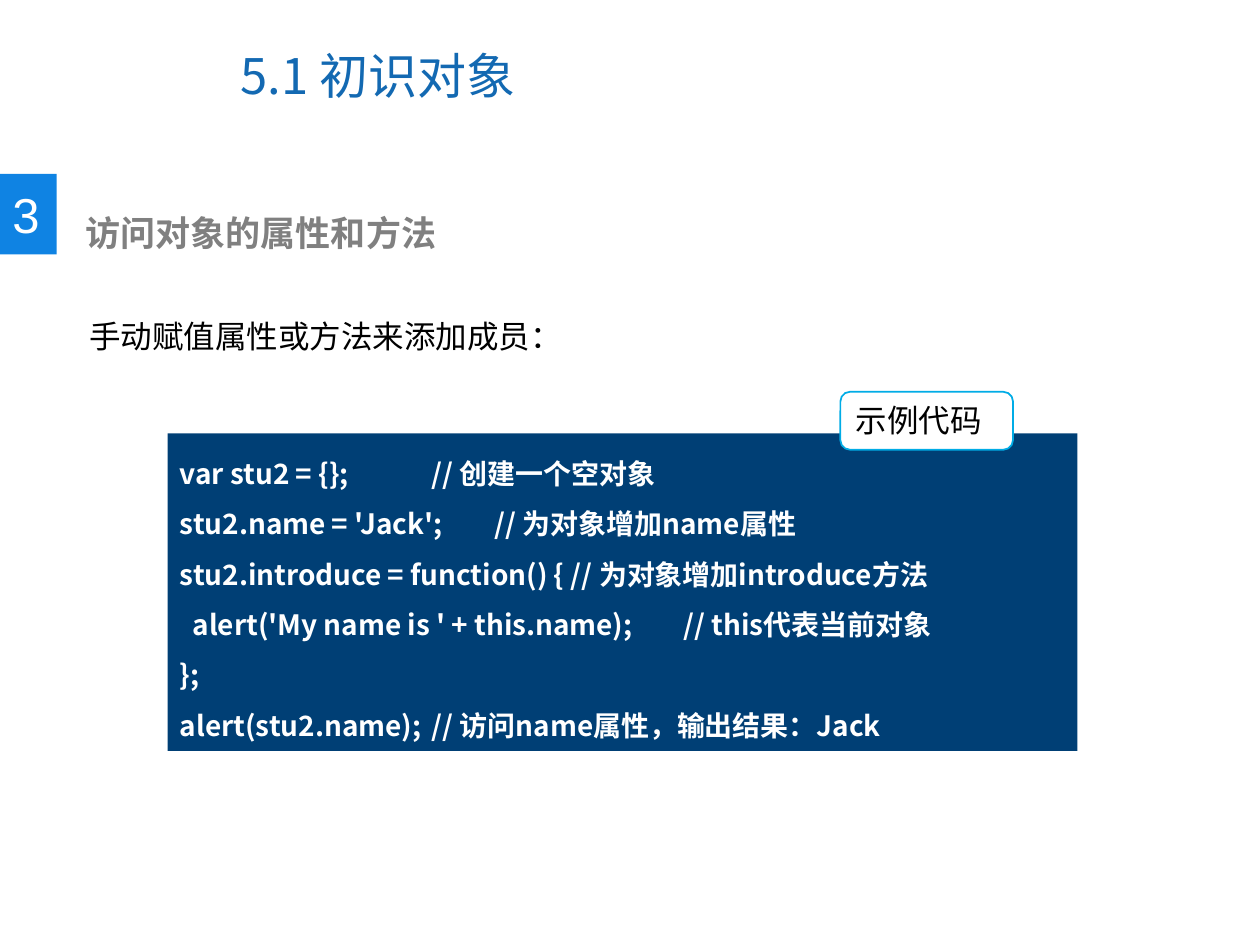
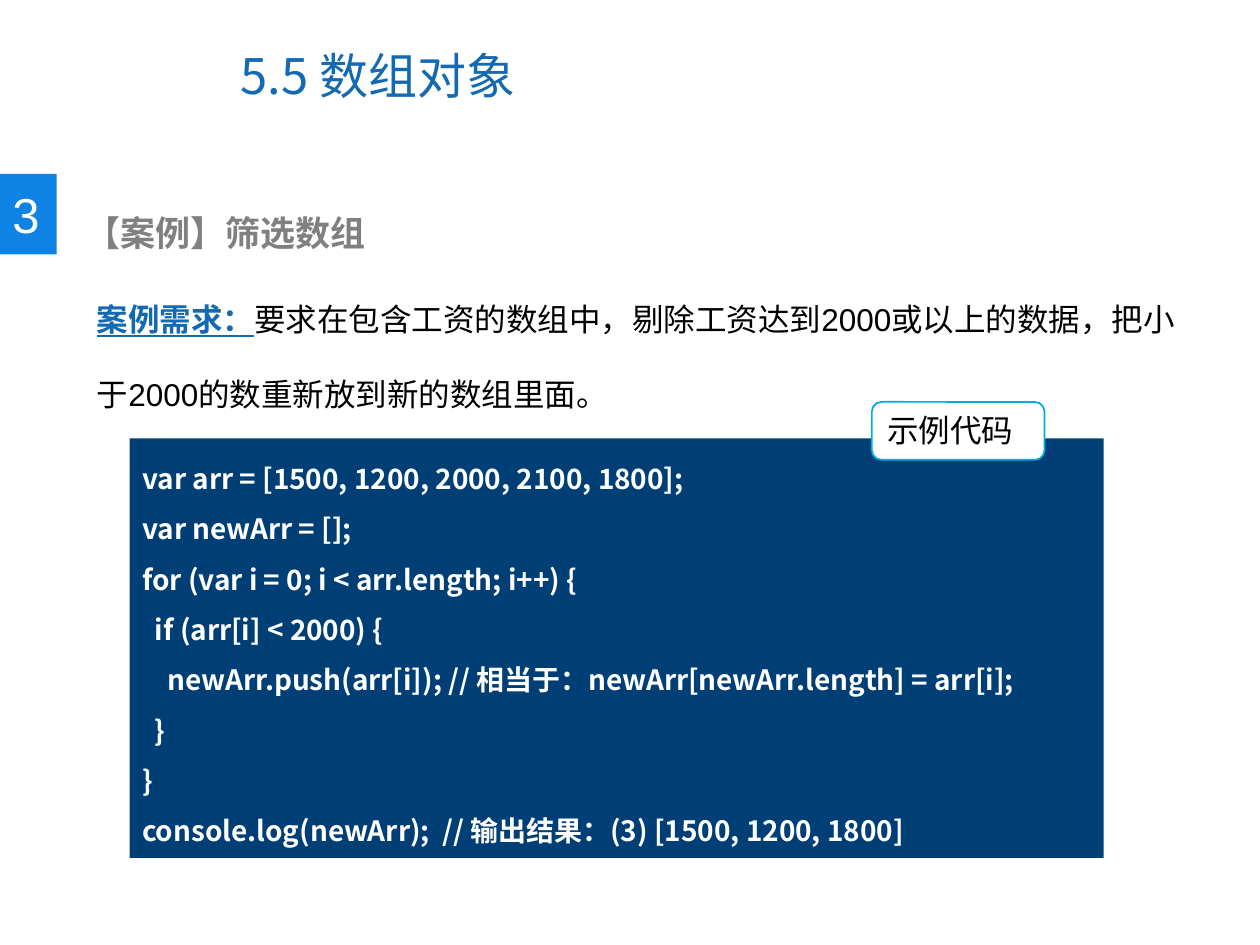
"""Build two lesson slides on JavaScript objects and arrays."""
from dataclasses import dataclass

from lxml import etree
from pptx import Presentation
from pptx import util as u
from pptx.dml.color import RGBColor
from pptx.enum import shapes, text
from pptx.oxml.ns import qn


@dataclass(frozen=True)
class Theme:
    heading: str = "1369B2"
    marker: str = "0F83E3"
    topic: str = "808080"
    body: str = "000000"
    panel: str = "003F75"
    outline: str = "00ACE6"
    light: str = "FFFFFF"
    latin: str = "Arial"
    chinese: str = "Noto Sans CJK SC"
    title_size: int = 28
    topic_size: int = 20
    body_size: int = 18
    code_size: int = 16


class Lesson:
    def __init__(self, theme):
        self.theme = theme
        self.deck = Presentation()
        self.deck.slide_width, self.deck.slide_height = u.Inches(10), u.Inches(7.5)
        self.slide = None

    def style(self, paragraph, size, color, font, bold=False, spacing=None):
        paragraph.alignment = text.PP_ALIGN.LEFT
        if spacing:
            paragraph.line_spacing = spacing
        face = paragraph.font
        face.size, face.bold, face.name = u.Pt(size), bold, font
        face.color.rgb = RGBColor.from_string(color)
        defaults = paragraph._p.pPr.find(qn("a:defRPr"))
        etree.SubElement(defaults, qn("a:ea"), typeface=self.theme.chinese)

    def put_lines(self, holder, lines, size, color, font, bold=False, spacing=None,
                  anchor=text.MSO_ANCHOR.TOP):
        frame = holder.text_frame
        frame.word_wrap, frame.vertical_anchor = True, anchor
        for index, line in enumerate(lines):
            paragraph = frame.add_paragraph() if index else frame.paragraphs[0]
            self.style(paragraph, size, color, font, bold, spacing)
            paragraph.add_run().text = line
        return frame

    def box(self, left, top, width, height):
        return self.slide.shapes.add_textbox(*map(u.Inches, (left, top, width, height)))

    def block(self, kind, place, fill, line=None):
        shape = self.slide.shapes.add_shape(kind, *map(u.Inches, place))
        shape.shadow.inherit = False
        shape.fill.solid()
        shape.fill.fore_color.rgb = RGBColor.from_string(fill)
        if line:
            shape.line.color.rgb = RGBColor.from_string(line)
            shape.line.width = u.Pt(1)
        else:
            shape.line.fill.background()
        return shape

    def start(self, title, number, topic):
        t = self.theme
        self.slide = self.deck.slides.add_slide(self.deck.slide_layouts[6])
        self.put_lines(self.box(1.81, 0.17, 5.16, 0.85), [title], t.title_size, t.heading,
                       t.chinese, anchor=text.MSO_ANCHOR.MIDDLE)
        marker = self.block(shapes.MSO_SHAPE.RECTANGLE, (0, 1.38, 0.45, 0.64), t.marker)
        number_frame = self.put_lines(marker, [number], t.title_size, t.light, t.latin,
                                      anchor=text.MSO_ANCHOR.MIDDLE)
        number_frame.margin_right = 0
        topic_frame = self.put_lines(self.box(0.47, 1.63, 5.14, 0.44), [topic],
                                     t.topic_size, t.topic, t.latin, bold=True)
        topic_frame.margin_left = u.Inches(0.21)

    def body(self, place, sentence, lead=None):
        t = self.theme
        frame = self.put_lines(self.box(*place), [lead or sentence], t.body_size, t.body,
                               t.latin, spacing=2.0)
        if lead:
            paragraph = frame.paragraphs[0]
            label = paragraph.runs[0].font
            label.bold = label.underline = True
            label.color.rgb = RGBColor.from_string(t.heading)
            paragraph.add_run().text = sentence

    def code(self, place, badge_left, badge_top, lines):
        t = self.theme
        panel = self.block(shapes.MSO_SHAPE.RECTANGLE, place, t.panel)
        self.put_lines(panel, lines, t.code_size, t.light, t.chinese, bold=True, spacing=1.5)
        badge = self.block(shapes.MSO_SHAPE.ROUNDED_RECTANGLE,
                           (badge_left, badge_top, 1.37, 0.46), t.light, t.outline)
        self.put_lines(badge, ["示例代码"], t.body_size, t.body, t.latin)


def main():
    lesson = Lesson(Theme())

    lesson.start("5.1 初识对象", "3", "访问对象的属性和方法")
    lesson.body((0.61, 2.17, 8.65, 0.61), "手动赋值属性或方法来添加成员：")
    lesson.code((1.33, 3.44, 7.22, 2.52), 6.67, 3.11, [
        "var stu2 = {};\t\t// 创建一个空对象",
        "stu2.name = 'Jack';\t// 为对象增加name属性",
        "stu2.introduce = function() { // 为对象增加introduce方法",
        "  alert('My name is ' + this.name);\t// this代表当前对象",
        "};",
        "alert(stu2.name);\t// 访问name属性，输出结果：Jack",
    ])

    lesson.start("5.5 数组对象", "3", "【案例】筛选数组")
    lesson.body((0.67, 2.03, 8.82, 1.31),
                "要求在包含工资的数组中，剔除工资达到2000或以上的数据，"
                "把小于2000的数重新放到新的数组里面。", lead="案例需求：")
    lesson.code((1.03, 3.48, 7.73, 3.33), 6.92, 3.19, [
        "var arr = [1500, 1200, 2000, 2100, 1800];",
        "var newArr = [];",
        "for (var i = 0; i < arr.length; i++) {",
        "  if (arr[i] < 2000) {",
        "    newArr.push(arr[i]); // 相当于：newArr[newArr.length] = arr[i];",
        "  }",
        "}",
        "console.log(newArr);  // 输出结果：(3) [1500, 1200, 1800]",
    ])

    lesson.deck.save("out.pptx")


if __name__ == "__main__":
    main()
